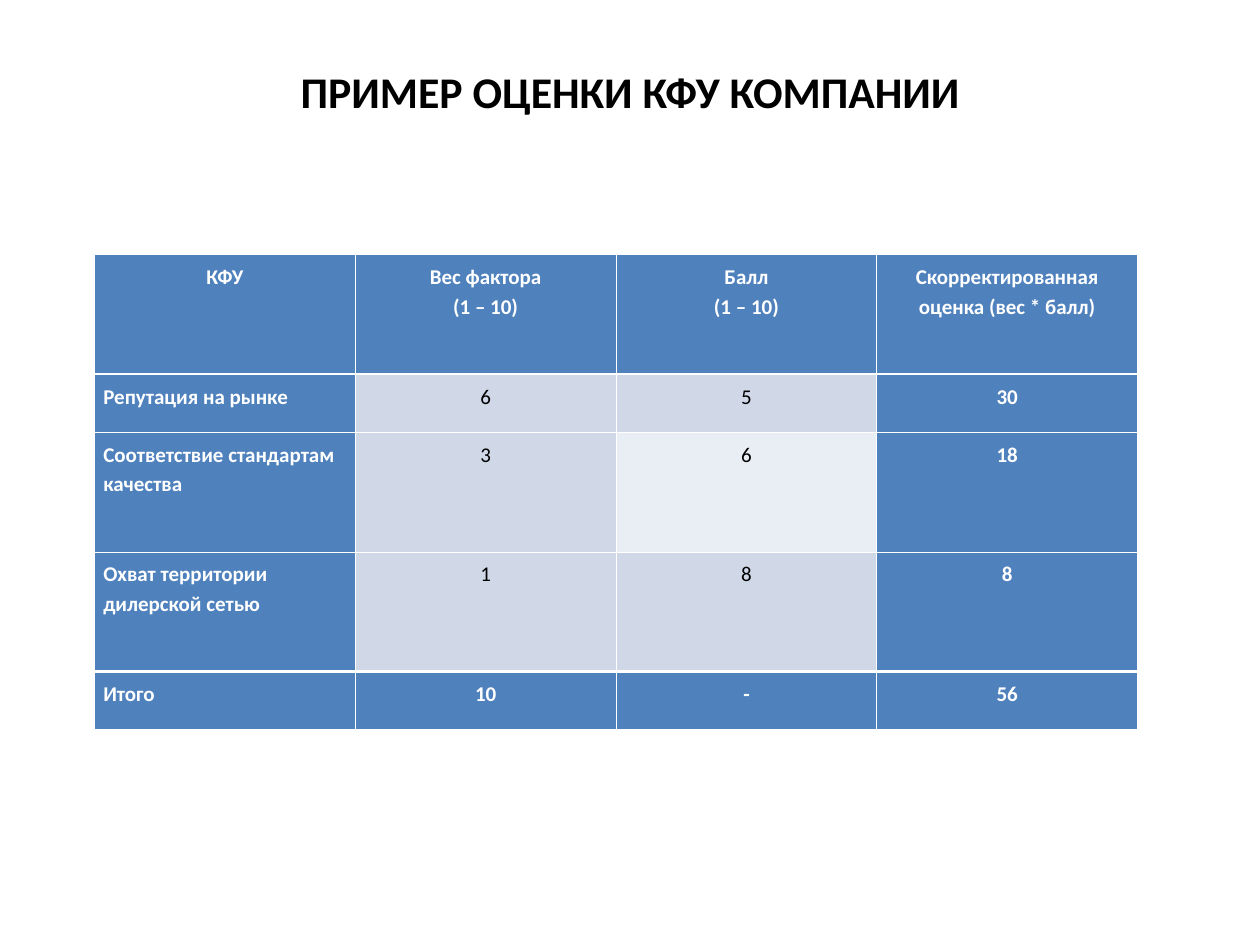
"""Build a slide with a table scoring a company's key success factors."""
from lxml import etree
from pptx import Presentation
from pptx import util as u
from pptx.dml.color import RGBColor
from pptx.enum import text
from pptx.oxml import ns

BLACK = RGBColor(0x00, 0x00, 0x00)
WHITE = RGBColor(0xFF, 0xFF, 0xFF)
BLUE = RGBColor(0x4F, 0x81, 0xBD)
BAND = RGBColor(0xD0, 0xD8, 0xE8)
PALE = RGBColor(0xE9, 0xED, 0xF4)
THIN, THICK = u.Pt(0.45), u.Pt(1.47)

ROWS = [
    ["КФУ", "Вес фактора\n(1 – 10)", "Балл\n(1 – 10)", "Скорректированная оценка (вес * балл)"],
    ["Репутация на рынке", "6", "5", "30"],
    ["Соответствие стандартам качества", "3", "6", "18"],
    ["Охват территории дилерской сетью", "1", "8", "8"],
    ["Итого", "10", "-", "56"],
]
ROW_HEIGHTS = [0.95, 0.46, 0.95, 0.95, 0.46]
COLUMN_WIDTH = 2.07
LAST_ROW, LAST_COLUMN = len(ROWS) - 1, len(ROWS[0]) - 1
MARGINS = {
    "margin_left": u.Inches(0.07),
    "margin_right": u.Inches(0.07),
    "margin_top": u.Inches(0.05),
    "margin_bottom": u.Inches(0.05),
}


def format_font(paragraph, size, color, bold):
    font = paragraph.font
    values = {"name": "Calibri", "size": u.Pt(size), "bold": bold}
    for name, value in values.items():
        setattr(font, name, value)
    font.color.rgb = color


def add_borders(cell, widths):
    properties = cell._tc.get_or_add_tcPr()
    for side, width in widths.items():
        line = etree.SubElement(properties, ns.qn(f"a:ln{side}"), w=str(int(width)))
        fill = etree.SubElement(line, ns.qn("a:solidFill"))
        etree.SubElement(fill, ns.qn("a:srgbClr"), val=str(WHITE))


presentation = Presentation()
presentation.slide_width = u.Inches(10)
presentation.slide_height = u.Inches(7.5)
slide = presentation.slides.add_slide(presentation.slide_layouts[6])

title = slide.shapes.add_textbox(u.Inches(0.5), u.Inches(0.3), u.Inches(9), u.Inches(0.85))
title.text_frame.word_wrap = True
title.text_frame.vertical_anchor = text.MSO_ANCHOR.MIDDLE
title.text_frame.text = "ПРИМЕР ОЦЕНКИ КФУ КОМПАНИИ"
title_paragraph = title.text_frame.paragraphs[0]
title_paragraph.alignment = text.PP_ALIGN.CENTER
format_font(title_paragraph, 25, BLACK, True)

table = slide.shapes.add_table(
    len(ROWS), len(ROWS[0]), u.Inches(0.75), u.Inches(2.02),
    u.Inches(COLUMN_WIDTH * len(ROWS[0])), u.Inches(sum(ROW_HEIGHTS)),
).table
for column in table.columns:
    column.width = u.Inches(COLUMN_WIDTH)
for row, height in zip(table.rows, ROW_HEIGHTS):
    row.height = u.Inches(height)

for row_index, values in enumerate(ROWS):
    for column_index, value in enumerate(values):
        cell = table.cell(row_index, column_index)
        for name, margin in MARGINS.items():
            setattr(cell, name, margin)
        add_borders(cell, {
            "L": THIN,
            "R": THIN,
            "T": THICK if row_index in (1, LAST_ROW) else THIN,
            "B": THICK if row_index in (0, LAST_ROW - 1) else THIN,
        })
        emphasized = row_index in (0, LAST_ROW) or column_index in (0, LAST_COLUMN)
        cell.fill.solid()
        if emphasized:
            cell.fill.fore_color.rgb = BLUE
        else:
            cell.fill.fore_color.rgb = PALE if (row_index, column_index) == (2, 2) else BAND
        cell.text = value
        left_aligned = column_index == 0 and row_index > 0
        for paragraph in cell.text_frame.paragraphs:
            paragraph.alignment = text.PP_ALIGN.LEFT if left_aligned else text.PP_ALIGN.CENTER
            paragraph.line_spacing = 1.15
            format_font(paragraph, 12, WHITE if emphasized else BLACK, emphasized)

presentation.save("out.pptx")
